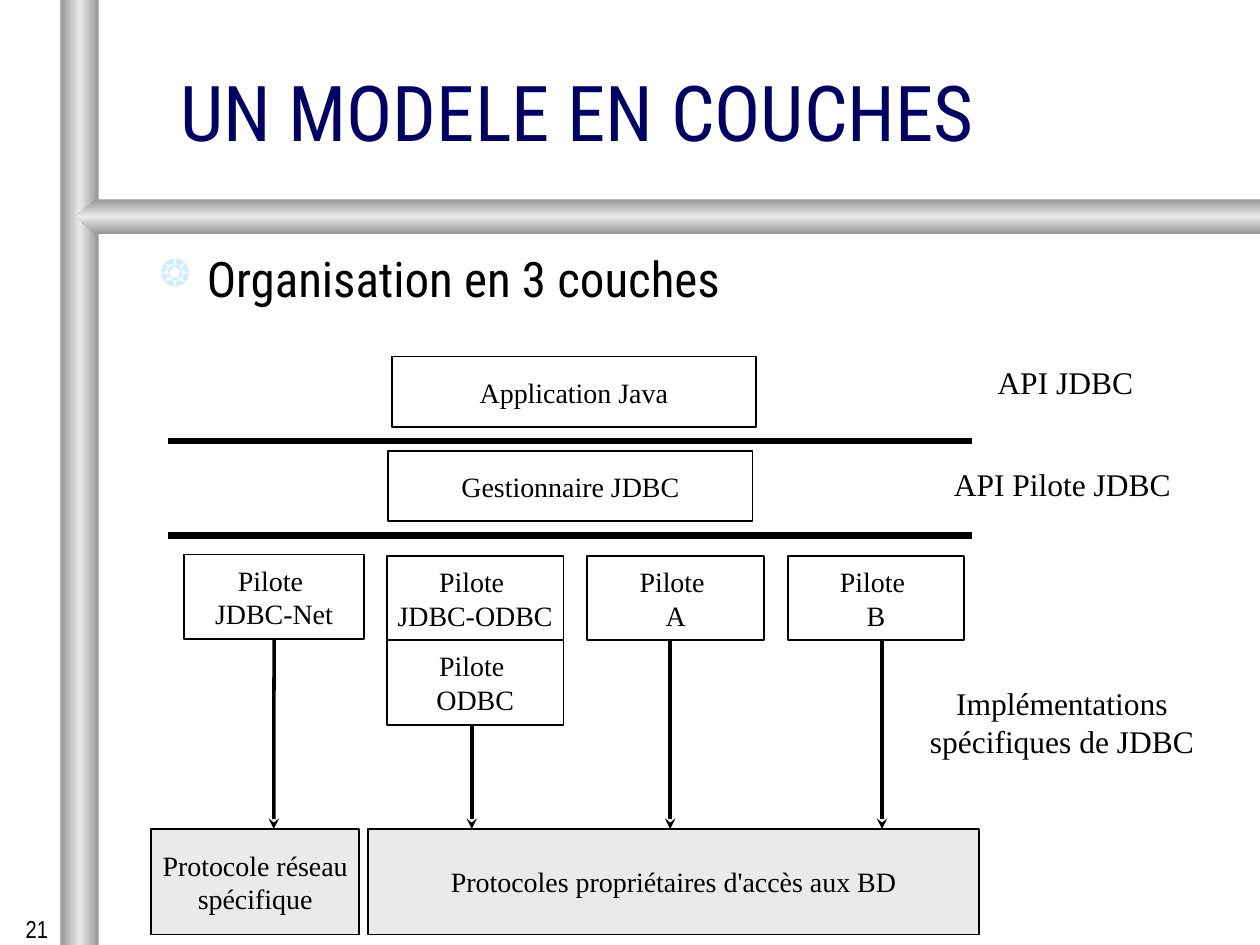
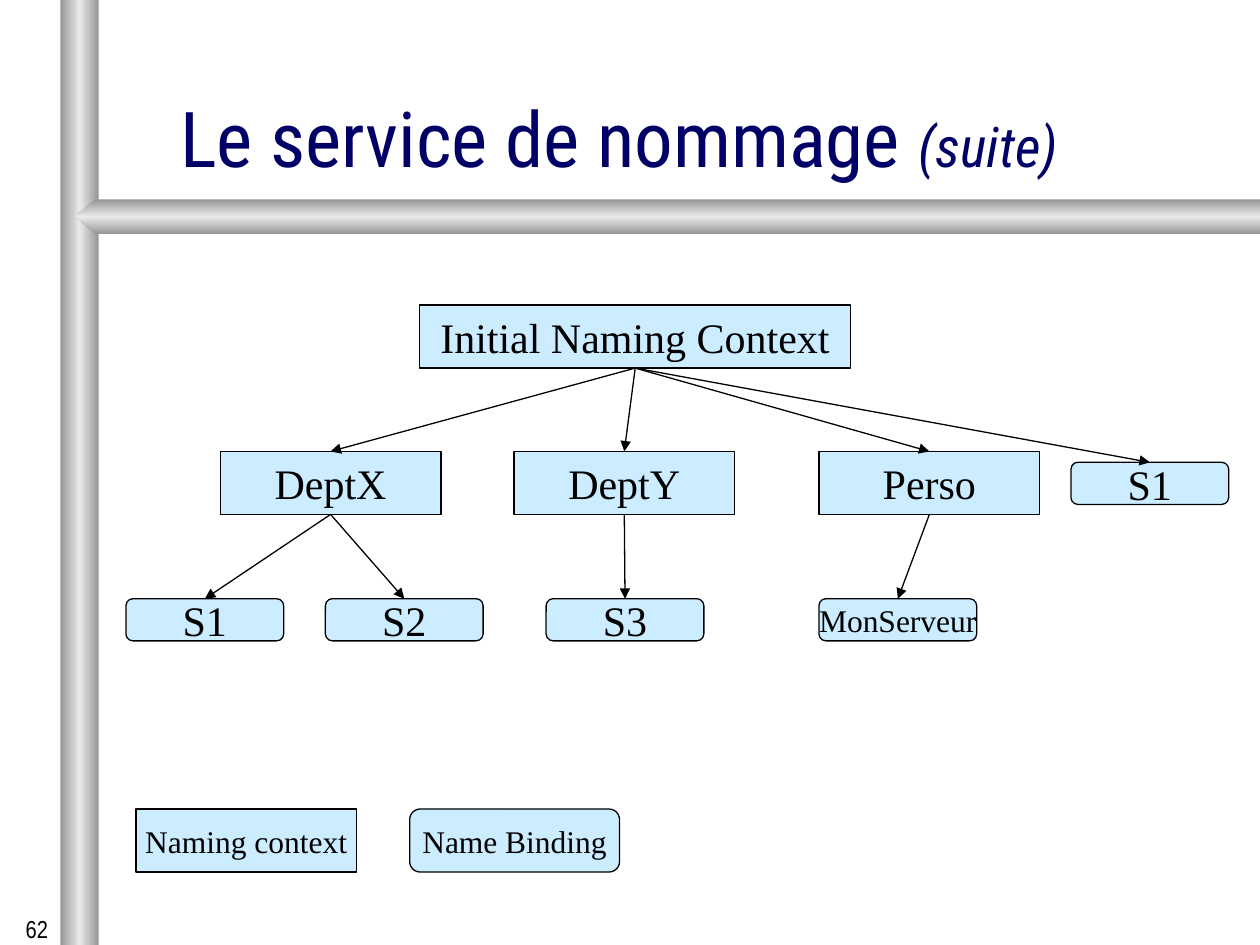
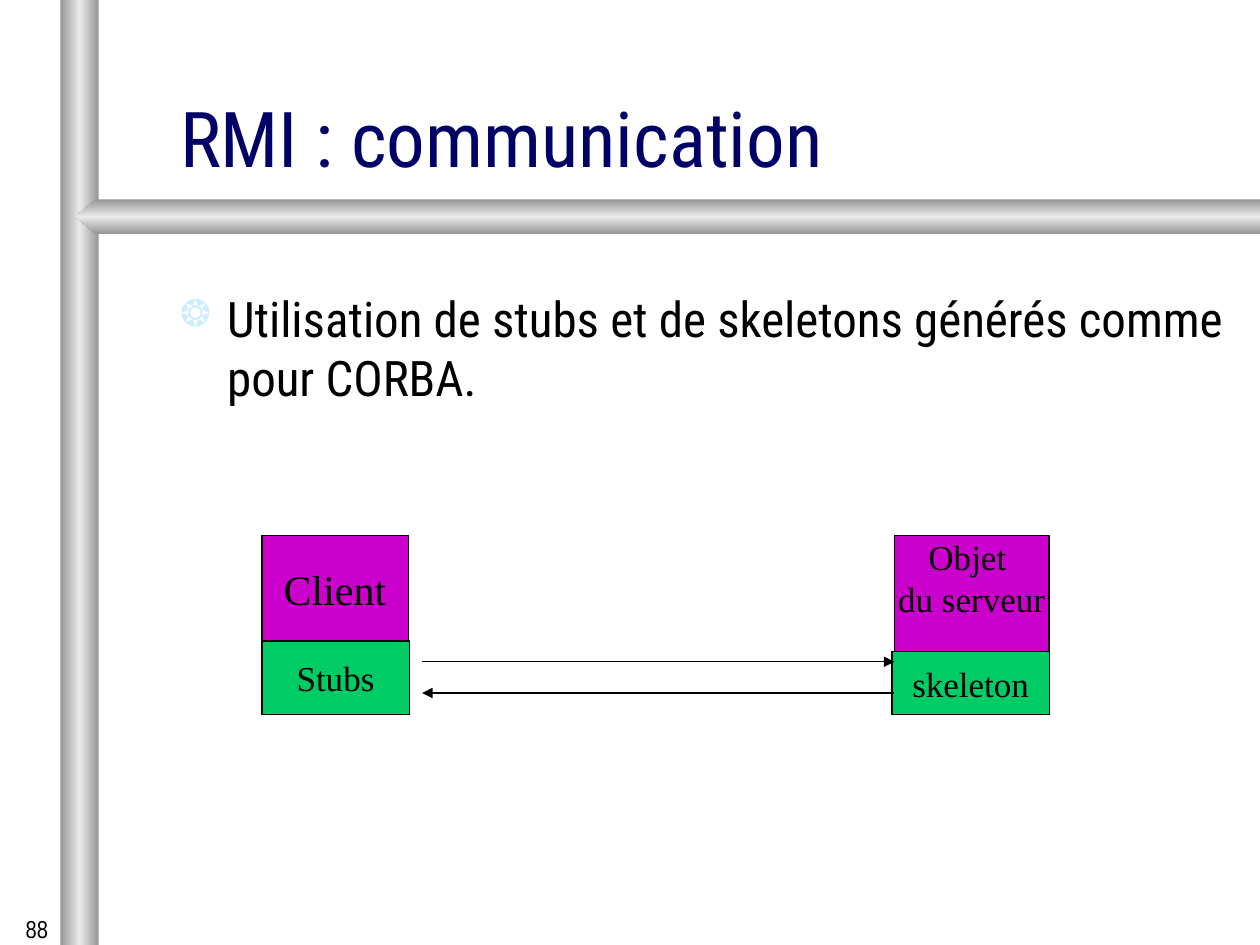
import copy

import pptx
import pptx.dml.color
import pptx.enum.shapes
import pptx.enum.text
import pptx.oxml.ns
import pptx.util
from lxml import etree

Cm = pptx.util.Cm
Pt = pptx.util.Pt
qn = pptx.oxml.ns.qn
SHAPE = pptx.enum.shapes.MSO_SHAPE
ALIGN = pptx.enum.text.PP_ALIGN
ANCHOR = pptx.enum.text.MSO_ANCHOR

COLORS = {
    "ink": "000000",
    "title": "000066",
    "paper": "FFFFFF",
    "band_edge": "969696",
    "silver": "EAEAEA",
    "sky": "CCECFF",
    "magenta": "CC00CC",
    "green": "00CC66",
}
HEADING_FONT = "Roboto Condensed"
DIAGRAM_FONT = "Times New Roman"
PAGE_FONT = "Arial Narrow"
TOP, BOTTOM = 0, 2
WIDTH, HEIGHT = 25.4, 19.05


def color(name):
    """Return the named colour of the deck."""
    return pptx.dml.color.RGBColor.from_string(COLORS[name])


def inside(box, left, top, width, height):
    """Move a rectangle given relative to a box onto the slide."""
    return box[0] + left, box[1] + top, width, height


def write(frame, text, font=DIAGRAM_FONT, size=16, ink="ink", italic=False,
          align=ALIGN.CENTER, anchor=ANCHOR.MIDDLE, wrap=False, before=0, append=False):
    """Write one paragraph per line of text, or append a run to the last paragraph."""
    frame.word_wrap = wrap
    frame.vertical_anchor = anchor
    for index, line in enumerate(text.split("\n")):
        paragraph = frame.add_paragraph() if index else frame.paragraphs[-1]
        if not append:
            paragraph.alignment = align
            paragraph.space_before = Pt(before)
        run = paragraph.add_run()
        run.text = line
        run.font.name = font
        run.font.size = Pt(size)
        run.font.italic = italic
        run.font.color.rgb = color(ink)


def add_label(slide, place, text, **style):
    """Add a text box and return its text frame."""
    frame = slide.shapes.add_textbox(*map(Cm, place)).text_frame
    write(frame, text, **style)
    return frame


def add_node(slide, place, text, fill="sky", line=0.75, kind=SHAPE.RECTANGLE, **style):
    """Add an outlined and filled shape holding centred text."""
    node = slide.shapes.add_shape(kind, *map(Cm, place))
    node.shadow.inherit = False
    node.fill.solid()
    node.fill.fore_color.rgb = color(fill)
    node.line.color.rgb = color("ink")
    node.line.width = Pt(line)
    write(node.text_frame, text, **style)
    return node


def add_line(slide, start, end, width=0.75, head="triangle"):
    """Draw a straight line between two points in centimetres."""
    link = slide.shapes.add_connector(
        pptx.enum.shapes.MSO_CONNECTOR.STRAIGHT, *map(Cm, (*start, *end)))
    link.line.color.rgb = color("ink")
    link.line.width = Pt(width)
    if head:
        etree.SubElement(link.line._get_or_add_ln(), qn("a:tailEnd"), type=head)
    etree.SubElement(link._element.spPr, qn("a:effectLst"))
    return link


def link_down(slide, parent, child):
    """Join the bottom of a parent to the top of its child with an arrow."""
    link = add_line(slide, (0, 0), (1, 1))
    link.begin_connect(parent, BOTTOM)
    link.end_connect(child, TOP)


def shade_band(band, angle):
    """Give a band its metallic gradient without outline or shadow."""
    band.shadow.inherit = False
    band.line.fill.background()
    band.fill.gradient()
    band.fill.gradient_angle = angle
    edge, middle = band.fill.gradient_stops
    edge.color.rgb, edge.position = color("band_edge"), 0
    middle.color.rgb, middle.position = color("silver"), 0.5
    stops = band._element.spPr.find(qn("a:gradFill")).find(qn("a:gsLst"))
    far_edge = copy.deepcopy(stops[0])
    far_edge.set("pos", "100000")
    stops.append(far_edge)


def add_bands(slide, box):
    """Draw the vertical bar and the pointed horizontal bar."""
    left, top, width, height = box
    upright = slide.shapes.add_shape(
        SHAPE.RECTANGLE, *map(Cm, inside(box, 1.22, 0, 0.77, height)))
    shade_band(upright, 0)
    right, upper, lower, shoulder = left + width, top + 4.02, top + 4.72, left + 1.93
    outline = [(shoulder, upper), (left + 1.52, (upper + lower) / 2),
               (shoulder, lower), (right, lower)]
    builder = slide.shapes.build_freeform(Cm(right), Cm(upper))
    builder.add_line_segments([(Cm(x), Cm(y)) for x, y in outline], close=True)
    shade_band(builder.convert_to_shape(), 90)


def add_frame(deck, title, page, suffix="", anchor=ANCHOR.BOTTOM):
    """Start a slide with its bands, title and page number."""
    slide = deck.slides.add_slide(deck.slide_layouts[6])
    box = (0, 0, WIDTH, HEIGHT)
    add_bands(slide, box)
    style = dict(font=HEADING_FONT, ink="title", anchor=anchor, wrap=True)
    heading = add_label(slide, inside(box, 3.38, 0.64, 21.59, 3.18), title,
                        size=44, align=ALIGN.LEFT, **style)
    if suffix:
        write(heading, suffix, size=32, italic=True, append=True, **style)
    add_label(slide, inside(box, 0, 18.31, 1.22, 0.74), page, font=PAGE_FONT, size=14,
              align=ALIGN.RIGHT, anchor=ANCHOR.TOP, wrap=True, before=8.8)
    return slide


def add_bullet(slide, box, text):
    """Add a body paragraph led by a pale flower bullet."""
    body = add_label(slide, box, text, font=HEADING_FONT, size=28, align=ALIGN.LEFT,
                     anchor=ANCHOR.TOP, wrap=True, before=7)
    properties = body.paragraphs[0]._p.get_or_add_pPr()
    properties.set("marL", str(Cm(0.95)))
    properties.set("indent", str(-Cm(0.95)))
    tint = etree.SubElement(properties, qn("a:buClr"))
    etree.SubElement(tint, qn("a:srgbClr"), val=COLORS["sky"])
    etree.SubElement(properties, qn("a:buSzPct"), val="75000")
    etree.SubElement(properties, qn("a:buChar"), char="❂")


def draw_layers(slide, box):
    """Draw the JDBC layers, from the application down to the protocols."""
    left, top = box[:2]
    floor = 9.52

    def layer(place, text, fill="paper"):
        return add_node(slide, inside(box, *place), text, fill=fill, line=1)

    layer((4.85, 0, 7.34, 1.42), "Application Java")
    layer((4.78, 1.9, 7.34, 1.42), "Gestionnaire JDBC")
    net_driver = layer((0.66, 3.99, 3.63, 1.7), "Pilote \nJDBC-Net")
    for column, name in enumerate(("JDBC-ODBC", "A", "B")):
        layer((4.75 + 4.04 * column, 4.02, 3.56, 1.7), f"Pilote \n{name}")
    for level in (1.7, 3.61):
        add_line(slide, (left + 0.33, top + level), (left + 16.54, top + level), 4, None)
    layer((4.75, 5.72, 3.56, 1.7), "Pilote \nODBC")
    arrows = [add_line(slide, (left + x, top + y), (left + x, top + floor), 2, "stealth")
              for x, y in ((2.47, 5.69), (6.46, 7.42), (10.46, 5.72), (14.73, 5.72))]
    arrows[0].begin_connect(net_driver, BOTTOM)
    layer((4.37, floor, 12.32, 2.13), "Protocoles propriétaires d'accès aux BD", "silver")
    layer((0, floor, 4.19, 2.13), "Protocole réseau\nspécifique", "silver")

    captions = [
        ((16.81, 0, 3.25, 1.02), "API JDBC", ALIGN.LEFT),
        ((15.93, 2.06, 4.88, 1.02), "API Pilote JDBC", ALIGN.LEFT),
        ((15.44, 6.48, 5.84, 1.78), "Implémentations\nspécifiques de JDBC", ALIGN.CENTER),
    ]
    for place, text, align in captions:
        add_label(slide, inside(box, *place), text, size=18, align=align, anchor=ANCHOR.TOP)


def draw_naming_tree(slide, box):
    """Draw the tree of naming contexts and bindings with its legend."""

    def context(x, y, text, width=4.45, size=24):
        return add_node(slide, inside(box, x, y, width, 1.27), text, size=size)

    def binding(x, y, text, width=3.18, height=0.85, size=24):
        return add_node(slide, inside(box, x, y, width, height), text, size=size,
                        kind=SHAPE.FLOWCHART_ALTERNATE_PROCESS)

    root = context(5.92, 0, "Initial Naming Context", width=8.69)
    branches = [
        (1.9, "DeptX", [(0, "S1", 24), (4.02, "S2", 24)]),
        (7.82, "DeptY", [(8.47, "S3", 24)]),
        (13.97, "Perso", [(13.97, "MonServeur", 18)]),
    ]
    for x, name, servers in branches:
        department = context(x, 2.95, name)
        link_down(slide, root, department)
        for server_x, server, size in servers:
            link_down(slide, department, binding(server_x, 5.92, server, size=size))
    link_down(slide, root, binding(19.05, 3.17, "S1"))

    context(0.2, 10.16, "Naming context", size=18)
    binding(5.72, 10.16, "Name Binding", width=4.23, height=1.27, size=18)


def draw_exchange(slide, box):
    """Draw the client and the server object talking through stubs and skeleton."""
    left, top = box[:2]
    add_node(slide, inside(box, 12.7, 2.34, 3.18, 1.27), "skeleton", "green", size=20)
    server = add_node(slide, inside(box, 12.75, 0, 3.12, 2.34), "Objet \ndu serveur",
                      "magenta", size=20, anchor=ANCHOR.TOP)
    server.text_frame.margin_top = 0
    add_node(slide, inside(box, 0, 2.12, 2.97, 1.48), "Stubs", "green", size=20)
    add_node(slide, inside(box, 0, 0, 2.95, 2.12), "Client", "magenta", size=24)
    for start, end, level in ((3.23, 12.75, 2.54), (12.75, 3.23, 3.17)):
        add_line(slide, (left + start, top + level), (left + end, top + level))


def main():
    """Build the three slides and save them."""
    deck = pptx.Presentation()
    deck.slide_width, deck.slide_height = Cm(WIDTH), Cm(HEIGHT)

    layers = add_frame(deck, "UN MODELE EN COUCHES", "21", anchor=ANCHOR.MIDDLE)
    draw_layers(layers, (3.05, 7.19, 21.29, 11.66))
    add_bullet(layers, (2.97, 4.88, 21.59, 11.43), "Organisation en 3 couches")

    naming = add_frame(deck, "Le service de nommage ", "62", suffix="(suite)")
    draw_naming_tree(naming, (2.54, 6.15, 22.23, 11.43))

    exchange = add_frame(deck, "RMI : communication", "88")
    add_bullet(exchange, (3.38, 5.69, 21.59, 11.43),
               "Utilisation de stubs et de skeletons générés comme pour CORBA.")
    draw_exchange(exchange, (5.28, 10.8, 15.88, 3.6))

    deck.save("out.pptx")


if __name__ == "__main__":
    main()
